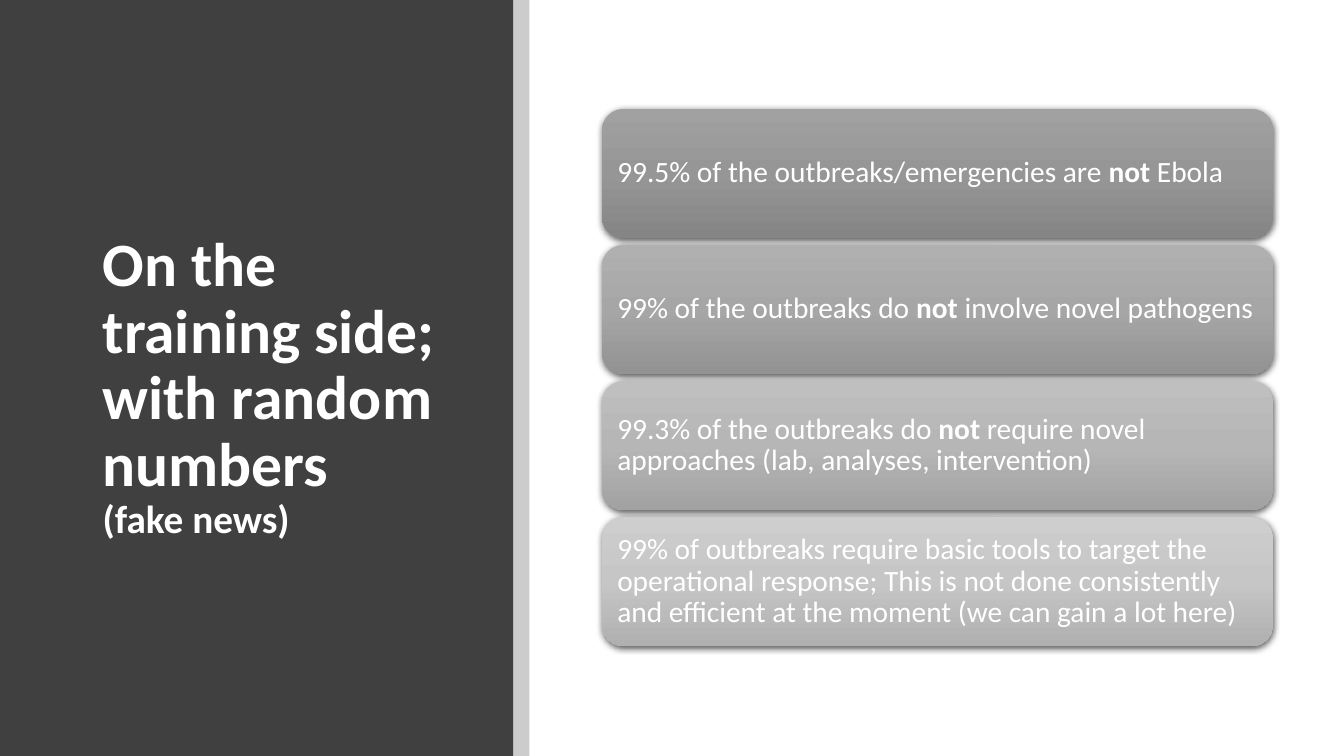
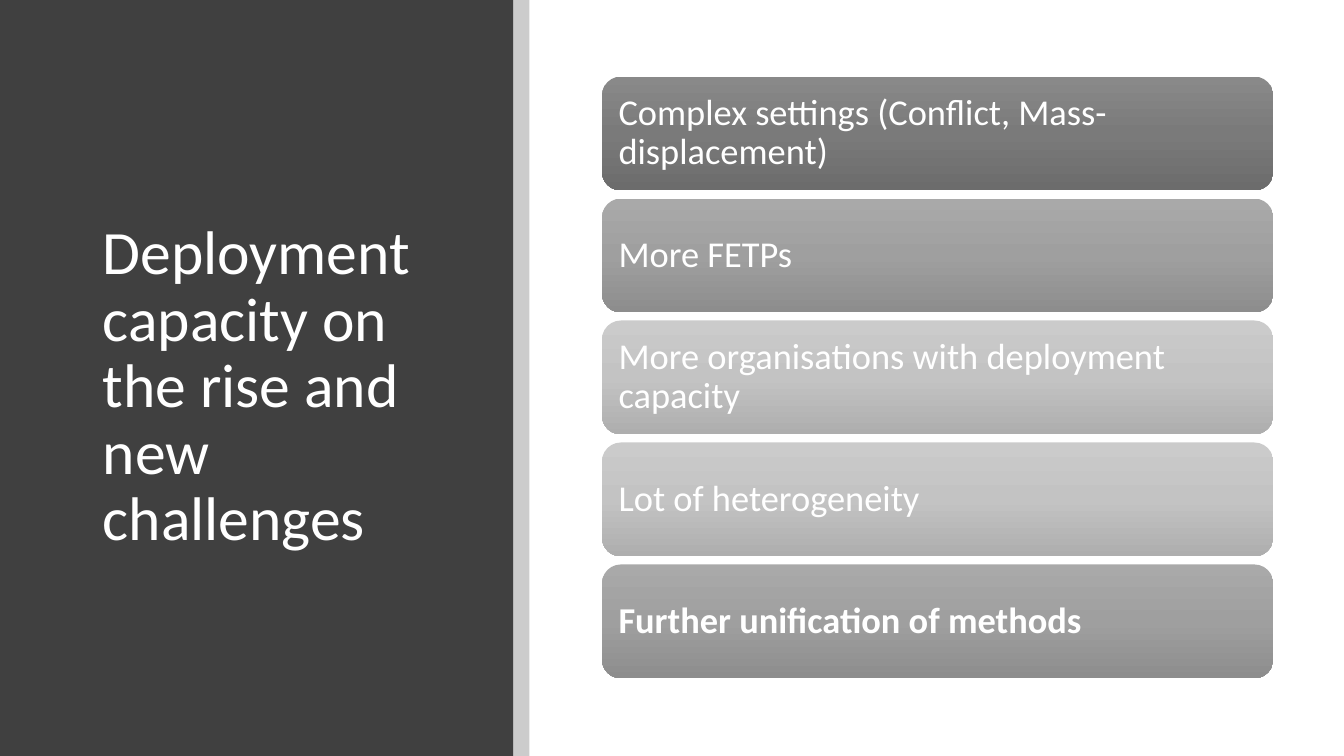
from copy import deepcopy

from pptx import Presentation
from pptx import util as u
from pptx.dml.color import RGBColor
from pptx.enum import shapes, text
from pptx.oxml import parse_xml
from pptx.oxml.ns import nsdecls, qn

PX = 9144  # EMU per px, 100 px to the inch
SLIDE_W, SLIDE_H = 1333, 750
FONT = "Calibri"
WHITE, PANEL, BLACK = "FFFFFF", "404040", "000000"
PANEL_W, STRIPE_W = 509, 16
CARD_X, CARD_W = 597, 666

MID_GRAY = ("A9A9A9", "9F9F9F", "8D8D8D")
LIGHT_GRAY = ("CBCBCB", "C3C3C3", "AEAEAE")

# Each card: gradient from top to bottom, then runs of (text, bold)
TRAINING_CARDS = [
    (("A1A1A1", "969696", "858585"),
     [("99.5% of the outbreaks/emergencies are ", False), ("not", True), (" Ebola", False)]),
    (("B0B0B0", "A6A6A6", "939393"),
     [("99% of the outbreaks do ", False), ("not", True), (" involve novel pathogens", False)]),
    (("BFBFBF", "B6B6B6", "A2A2A2"),
     [("99.3% of the outbreaks do ", False), ("not", True),
      (" require novel approaches (lab, analyses, intervention)", False)]),
    (("CECECE", "C6C6C6", "B0B0B0"),
     [("99% of outbreaks require basic tools to target the operational response; "
       "This is not done consistently and efficient at the moment "
       "(we can gain a lot here)", False)]),
]
DEPLOYMENT_CARDS = [
    (("898989", "7A7A7A", "6C6C6C"),
     [("Complex settings (Conflict, Mass-displacement)", False)]),
    (MID_GRAY, [("More FETPs", False)]),
    (LIGHT_GRAY, [("More organisations with deployment capacity", False)]),
    (LIGHT_GRAY, [("Lot of heterogeneity", False)]),
    (MID_GRAY, [("Further unification of methods", True)]),
]


def px(*lengths):
    return [u.Emu(n * PX) for n in lengths]


def rgb(color):
    return RGBColor.from_string(color)


def add_shape(s, kind, x, y, w, h):
    sp = s.shapes.add_shape(kind, *px(x, y, w, h))
    sp.shadow.inherit = False
    sp.line.fill.background()
    return sp


def add_bar(s, x, w, color, alpha=100):
    sp = add_shape(s, shapes.MSO_SHAPE.RECTANGLE, x, 0, w, SLIDE_H)
    sp.fill.solid()
    sp.fill.fore_color.rgb = rgb(color)
    if alpha < 100:
        clr = sp.element.spPr.find(".//" + qn("a:srgbClr"))
        clr.append(parse_xml(f'<a:alpha {nsdecls("a")} val="{alpha * 1000}"/>'))


def fill_gradient(sp, colors):
    sp.fill.gradient()
    sp.fill.gradient_angle = 270
    stops = sp.element.spPr.find(".//" + qn("a:gsLst"))
    stops.append(deepcopy(stops[0]))
    for i, (stop, color) in enumerate(zip(sp.fill.gradient_stops, colors)):
        stop.position = i / (len(colors) - 1)
        stop.color.rgb = rgb(color)


def add_shadow(sp):
    sp.element.spPr.find(qn("a:effectLst")).append(parse_xml(
        f'<a:outerShdw {nsdecls("a")} blurRad="57150" dist="19050" dir="5400000" '
        f'algn="ctr" rotWithShape="0"><a:srgbClr val="{BLACK}">'
        '<a:alpha val="63000"/></a:srgbClr></a:outerShdw>'))


def set_frame(tf, inset_x, inset_y):
    """Prepare a wrapped, middle-anchored frame and return its paragraph."""
    tf.word_wrap = True
    tf.vertical_anchor = text.MSO_ANCHOR.MIDDLE
    tf.margin_left, tf.margin_right = px(inset_x, inset_x)
    tf.margin_top, tf.margin_bottom = px(inset_y, inset_y)
    p = tf.paragraphs[0]
    p.alignment = text.PP_ALIGN.LEFT
    p.line_spacing = 0.9
    return p


def add_run(p, words, size, bold):
    r = p.add_run()
    r.text = words
    r.font.name = FONT
    r.font.size = u.Pt(size)
    r.font.bold = bold
    r.font.color.rgb = rgb(WHITE)


def add_title(s, title, bold, note):
    box = s.shapes.add_textbox(*px(92, 89, 365, 591))
    p = set_frame(box.text_frame, 10, 5)
    add_run(p, title, 44, bold)
    if note:
        p.add_line_break()
        add_run(p, note, 28, bold)


def add_cards(s, cards, height, gap, size, inset, shadow):
    """Stack the cards with equal gaps, centred on the slide height."""
    pitch = height + gap
    top = (SLIDE_H - len(cards) * pitch + gap) // 2
    for i, (colors, runs) in enumerate(cards):
        sp = add_shape(s, shapes.MSO_SHAPE.ROUNDED_RECTANGLE,
                       CARD_X, top + i * pitch, CARD_W, height)
        fill_gradient(sp, colors)
        if shadow:
            add_shadow(sp)
        p = set_frame(sp.text_frame, inset, inset)
        for words, bold in runs:
            add_run(p, words, size, bold)


def add_slide(prs, title, bold=False, note=None):
    s = prs.slides.add_slide(prs.slide_layouts[6])
    add_bar(s, 0, PANEL_W, PANEL)
    add_bar(s, PANEL_W, STRIPE_W, BLACK, alpha=20)
    add_title(s, title, bold, note)
    return s


def main():
    prs = Presentation()
    prs.slide_width, prs.slide_height = px(SLIDE_W, SLIDE_H)

    # Training
    s = add_slide(prs, "On the training side; with random numbers",
                  bold=True, note="(fake news)")
    add_cards(s, TRAINING_CARDS, height=128, gap=7, size=21, inset=9, shadow=True)

    # Deployment
    s = add_slide(prs, "Deployment capacity on the rise and new challenges")
    add_cards(s, DEPLOYMENT_CARDS, height=113, gap=8, size=26, inset=11, shadow=False)

    prs.save("out.pptx")


if __name__ == "__main__":
    main()
